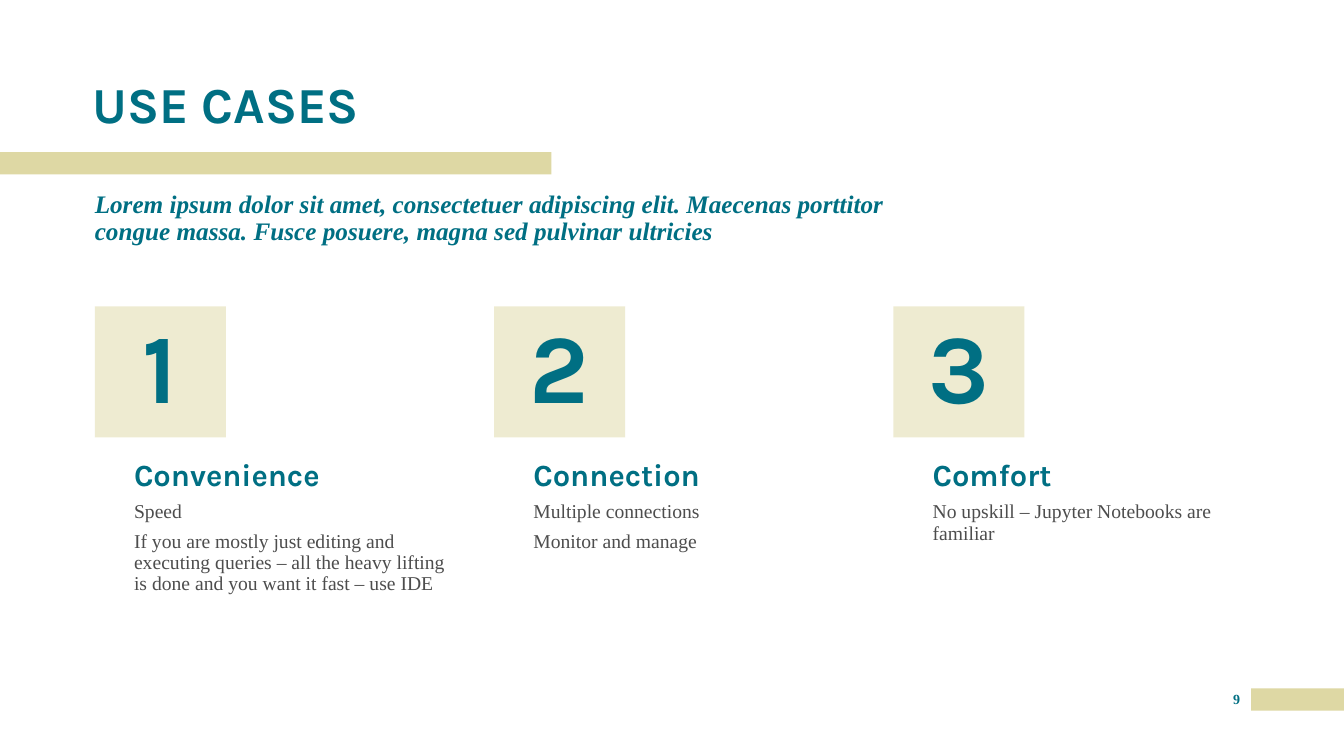
from dataclasses import dataclass

from lxml import etree
from pptx import Presentation
from pptx.dml.color import RGBColor
from pptx.enum.shapes import MSO_SHAPE
from pptx.enum.text import MSO_ANCHOR, PP_ALIGN
from pptx.oxml.ns import qn
from pptx.util import Inches, Pt

RECT = MSO_SHAPE.RECTANGLE
TOP, MIDDLE, BOTTOM = MSO_ANCHOR.TOP, MSO_ANCHOR.MIDDLE, MSO_ANCHOR.BOTTOM
LEFT, CENTER = PP_ALIGN.LEFT, PP_ALIGN.CENTER


@dataclass(frozen=True)
class Style:
    """Type settings for one kind of text."""
    size: int
    font: str
    color: str
    bold: bool = True
    italic: bool = False


class Theme:
    """Colours and type styles of the slide."""
    sand = "DED8A4"
    teal = "006F83"
    grey = "4D4D4D"
    display, serif = "Karla", "Times New Roman"
    title = Style(36, display, teal)
    intro = Style(18, serif, teal, italic=True)
    number = Style(70, display, teal)
    heading = Style(22, display, teal)
    body = Style(14, serif, grey, bold=False)
    page = Style(10, serif, teal)


WIDTH, HEIGHT = 13.33, 7.5
MARGIN = 0.94
COLUMN_STEP = 3.96
BAR_HEIGHT = 0.22
CASES = [
    ("Convenience", ["Speed",
                     "If you are mostly just editing and executing queries – all the "
                     "heavy lifting is done and you want it fast – use IDE"]),
    ("Connection", ["Multiple connections", "Monitor and manage"]),
    ("Comfort", ["No upskill – Jupyter Notebooks are familiar"]),
]


def fill_text(s, lines, style, anchor=TOP, align=LEFT, spacing=0.9):
    """Write the lines as paragraphs in a shape without insets."""
    tf = s.text_frame
    tf.word_wrap = True
    tf.vertical_anchor = anchor
    tf.margin_left = tf.margin_right = tf.margin_top = tf.margin_bottom = 0
    for i, line in enumerate(lines):
        p = tf.add_paragraph() if i else tf.paragraphs[0]
        p.alignment = align
        p.line_spacing = spacing
        if i:
            p.space_before = Pt(6)
        r = p.add_run()
        r.text = line
        r.font.size = Pt(style.size)
        r.font.name = style.font
        r.font.bold = style.bold
        r.font.italic = style.italic
        r.font.color.rgb = RGBColor.from_string(style.color)


def add_text(slide, box, lines, style, **layout):
    """Add a text box filling the given box."""
    s = slide.shapes.add_textbox(*map(Inches, box))
    fill_text(s, lines, style, **layout)


def add_block(slide, box, opacity=100):
    """Add a plain sand rectangle and return it."""
    s = slide.shapes.add_shape(RECT, *map(Inches, box))
    s.shadow.inherit = False
    s.line.fill.background()
    s.fill.solid()
    s.fill.fore_color.rgb = RGBColor.from_string(Theme.sand)
    if opacity < 100:
        color = s.fill._xPr.find(qn("a:solidFill"))[0]
        etree.SubElement(color, qn("a:alpha")).set("val", str(opacity * 1000))
    return s


def add_header(slide, box):
    """Place the title, its bar from the slide edge and the introduction."""
    x, y, w, h = box
    add_block(slide, (0, y + 0.83, 5.47, BAR_HEIGHT))
    add_text(slide, (x - 0.02, y, w, 0.65), ["USE CASES"], Theme.title, anchor=BOTTOM)
    intro = ("Lorem ipsum dolor sit amet, consectetuer adipiscing elit. Maecenas "
             "porttitor congue massa. Fusce posuere, magna sed pulvinar ultricies")
    add_text(slide, (x, y + 1.22, w, h - 1.22), [intro], Theme.intro)


def add_case(slide, box, number, heading, lines):
    """Place a numbered square with an indented heading and text below."""
    x, y, w, h = box
    side, indent = 1.3, 0.39
    s = add_block(slide, (x, y, side, side), opacity=50)
    fill_text(s, [str(number)], Theme.number, anchor=MIDDLE, align=CENTER)
    left, width = x + indent, w - indent
    add_text(slide, (left, y + 1.34, width, 0.51), [heading], Theme.heading, anchor=BOTTOM)
    add_text(slide, (left, y + 1.94, width, h - 1.94), lines, Theme.body)


def add_footer(slide, box):
    """Place the page number and the bar that runs to the slide edge."""
    x, y, w, h = box
    number_width = 0.29
    add_text(slide, (x, y + 0.02, number_width, 0.25), ["9"], Theme.page,
             align=CENTER, spacing=1.0)
    add_block(slide, (x + number_width, y, w - number_width, h))


def main():
    """Build the slide and save it."""
    prs = Presentation()
    prs.slide_width, prs.slide_height = Inches(WIDTH), Inches(HEIGHT)
    slide = prs.slides.add_slide(prs.slide_layouts[6])
    add_header(slide, (MARGIN, 0.68, 8.53, 2.25))
    for i, (heading, lines) in enumerate(CASES):
        add_case(slide, (MARGIN + i * COLUMN_STEP, 3.04, 3.59, 3.18), i + 1, heading, lines)
    add_footer(slide, (12.12, 6.83, WIDTH - 12.12, BAR_HEIGHT))
    prs.save("out.pptx")


if __name__ == "__main__":
    main()
